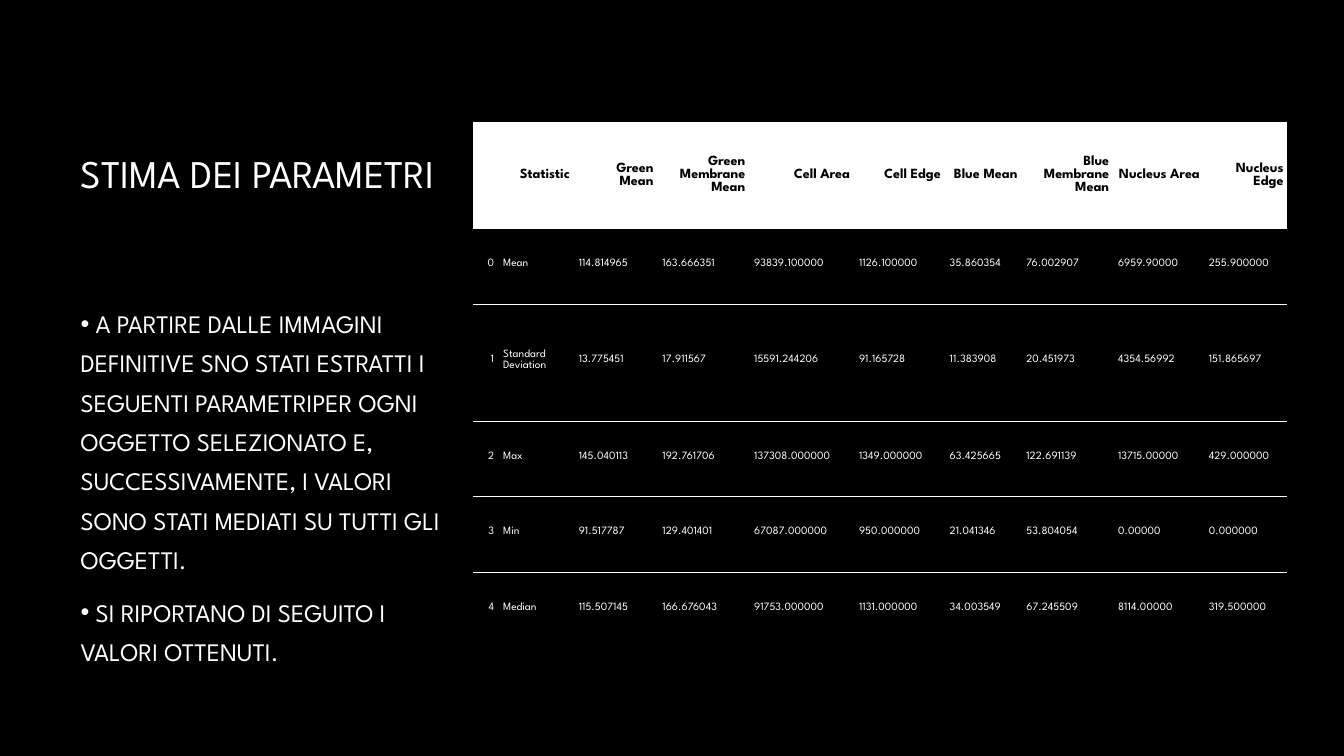
import pptx
import pptx.dml.color
import pptx.enum.text
import pptx.oxml
import pptx.oxml.ns
import pptx.util
from pptx.util import Inches

FONT = "League Spartan"
WHITE = "FFFFFF"
BLACK = "000000"
NO_GRID_STYLE = "{2D5ABB26-0587-4C30-8999-92F81FD0307C}"
COLUMN_WIDTHS = [0.25, 0.75, 0.83, 0.91, 1.04, 0.9, 0.76, 0.91, 0.9, 0.83]
ROW_HEIGHTS = [1.06, 0.75, 1.16, 0.75, 0.75, 0.75]
UNDERLINED_ROWS = (1, 3)

POINTS = [
    " A PARTIRE DALLE IMMAGINI DEFINITIVE SNO STATI ESTRATTI I SEGUENTI "
    "PARAMETRIPER OGNI OGGETTO SELEZIONATO E, SUCCESSIVAMENTE, I VALORI SONO "
    "STATI MEDIATI SU TUTTI GLI OGGETTI.",
    " SI RIPORTANO DI SEGUITO I VALORI OTTENUTI.",
]

STATISTICS = [
    ["", "Statistic", "Green Mean", "Green Membrane Mean", "Cell Area", "Cell Edge",
     "Blue Mean", "Blue Membrane Mean", "Nucleus Area", "Nucleus Edge"],
    ["0", "Mean", "114.814965", "163.666351", "93839.100000", "1126.100000",
     "35.860354", "76.002907", "6959.90000", "255.900000"],
    ["1", "Standard Deviation", "13.775451", "17.911567", "15591.244206", "91.165728",
     "11.383908", "20.451973", "4354.56992", "151.865697"],
    ["2", "Max", "145.040113", "192.761706", "137308.000000", "1349.000000",
     "63.425665", "122.691139", "13715.00000", "429.000000"],
    ["3", "Min", "91.517787", "129.401401", "67087.000000", "950.000000",
     "21.041346", "53.804054", "0.00000", "0.000000"],
    ["4", "Median", "115.507145", "166.676043", "91753.000000", "1131.000000",
     "34.003549", "67.245509", "8114.00000", "319.500000"],
]


def rgb(value):
    return pptx.dml.color.RGBColor.from_string(value)


def place(holder, left, top, width, height):
    holder.left, holder.top = Inches(left), Inches(top)
    holder.width, holder.height = Inches(width), Inches(height)


def add_xml(parent, xml):
    namespace = pptx.oxml.ns.nsdecls("a")
    parent.append(pptx.oxml.parse_xml(xml.replace("@ns", namespace)))


def format_font(font, size, bold=False):
    font.name = FONT
    font.size = pptx.util.Pt(size)
    font.bold = bold


def shade_text(font, end_color):
    font.fill.gradient()
    font.fill.gradient_angle = 267
    for stop, color in zip(font.fill.gradient_stops, (WHITE, end_color)):
        stop.color.rgb = rgb(color)


def add_title(slide, text):
    title = slide.shapes.title
    place(title, 0.7, 0.67, 3.98, 2.08)
    frame = title.text_frame
    frame.text = text
    frame.auto_size = pptx.enum.text.MSO_AUTO_SIZE.NONE
    frame.vertical_anchor = pptx.enum.text.MSO_ANCHOR.MIDDLE
    paragraph = frame.paragraphs[0]
    paragraph.alignment = pptx.enum.text.PP_ALIGN.LEFT
    format_font(paragraph.runs[0].font, 28)
    shade_text(paragraph.runs[0].font, "A6A6A6")


def add_points(slide, points):
    body = slide.placeholders[1]
    place(body, 0.7, 2.92, 3.98, 3.52)
    frame = body.text_frame
    frame.text = "\n".join(points)
    frame.auto_size = pptx.enum.text.MSO_AUTO_SIZE.NONE
    frame.vertical_anchor = pptx.enum.text.MSO_ANCHOR.TOP
    for index, paragraph in enumerate(frame.paragraphs):
        properties = paragraph._p.get_or_add_pPr()
        properties.set("marL", "0")
        properties.set("indent", "0")
        add_xml(properties, f'<a:buClr @ns><a:srgbClr val="{WHITE}"/></a:buClr>')
        add_xml(properties, '<a:buFont @ns typeface="Arial"/>')
        add_xml(properties, '<a:buChar @ns char="•"/>')
        paragraph.line_spacing = 1.3
        paragraph.space_before = pptx.util.Pt(3.6 if index else 0)
        paragraph.space_after = pptx.util.Pt(6)
        format_font(paragraph.runs[0].font, 18)
        shade_text(paragraph.runs[0].font, "BFBFBF")


def add_border(cell, side):
    add_xml(
        cell._tc.get_or_add_tcPr(),
        f'<a:{side} @ns w="12700"><a:solidFill><a:srgbClr val="{WHITE}"/>'
        f'</a:solidFill></a:{side}>',
    )


def format_cell(cell, text, row, column):
    header = row == 0
    cell.text = text
    cell.vertical_anchor = pptx.enum.text.MSO_ANCHOR.MIDDLE
    cell.margin_left, cell.margin_right = Inches(0.05), Inches(0.04)
    cell.margin_top = Inches(0.07 if header else 0.02)
    cell.margin_bottom = Inches(0.07)
    if row - 1 in UNDERLINED_ROWS:
        add_border(cell, "lnT")
    if row in UNDERLINED_ROWS:
        add_border(cell, "lnB")
    cell.fill.solid()
    cell.fill.fore_color.rgb = rgb(WHITE if header else BLACK)
    paragraph = cell.text_frame.paragraphs[0]
    align = pptx.enum.text.PP_ALIGN
    paragraph.alignment = align.RIGHT if header or column == 0 else align.LEFT
    for run in paragraph.runs:
        format_font(run.font, 10 if header else 8, header)
        run.font.color.rgb = rgb(BLACK if header else WHITE)


def add_statistics(slide, rows):
    frame = slide.shapes.add_table(
        len(rows), len(rows[0]), Inches(4.69), Inches(1.21), Inches(8.09), Inches(5.22)
    )
    table = frame.table
    table.horz_banding = False
    table._tbl.tblPr.find(pptx.oxml.ns.qn("a:tableStyleId")).text = NO_GRID_STYLE
    for column, width in zip(table.columns, COLUMN_WIDTHS):
        column.width = Inches(width)
    for table_row, height in zip(table.rows, ROW_HEIGHTS):
        table_row.height = Inches(height)
    for row, values in enumerate(rows):
        for column, text in enumerate(values):
            format_cell(table.cell(row, column), text, row, column)


def main():
    """Build the slide on parameter estimates and save it."""
    deck = pptx.Presentation()
    deck.slide_width, deck.slide_height = Inches(13.33), Inches(7.5)
    slide = deck.slides.add_slide(deck.slide_layouts[1])
    slide.background.fill.solid()
    slide.background.fill.fore_color.rgb = rgb(BLACK)
    add_title(slide, "STIMA DEI PARAMETRI")
    add_points(slide, POINTS)
    add_statistics(slide, STATISTICS)
    deck.save("out.pptx")


if __name__ == "__main__":
    main()
